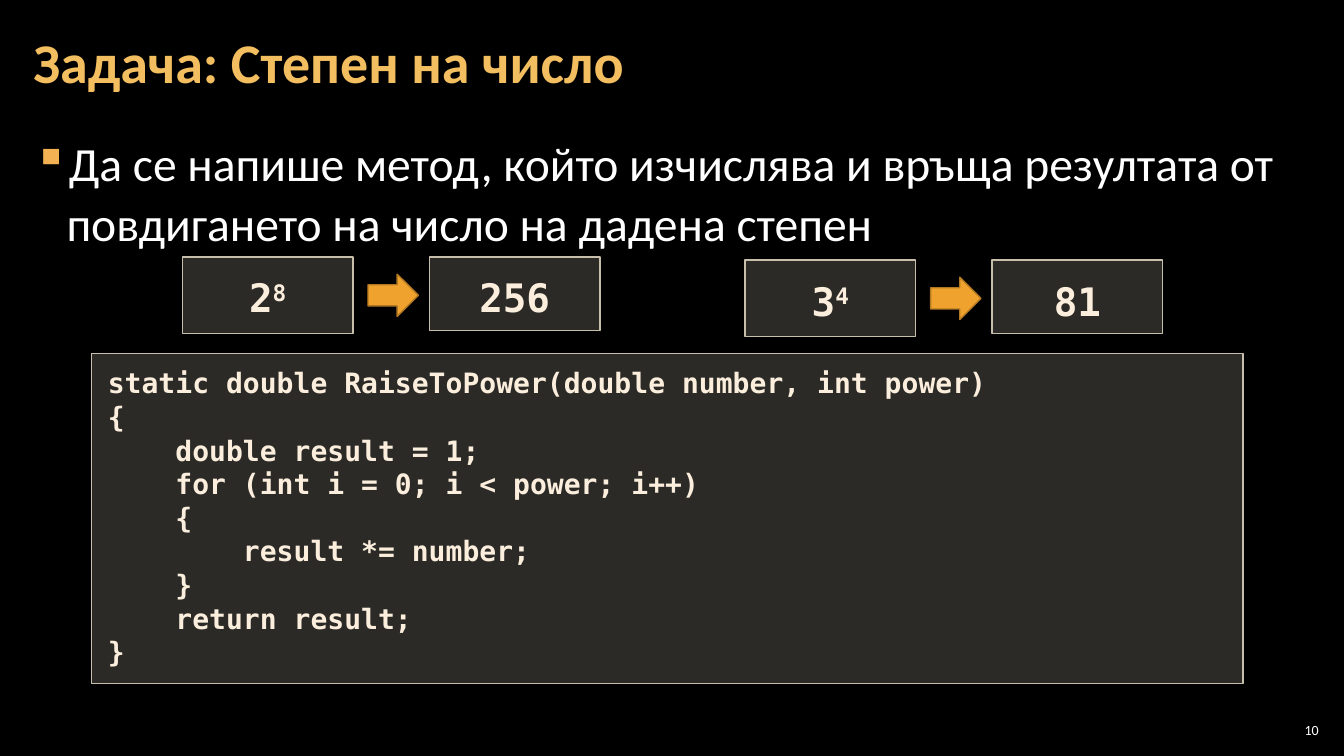
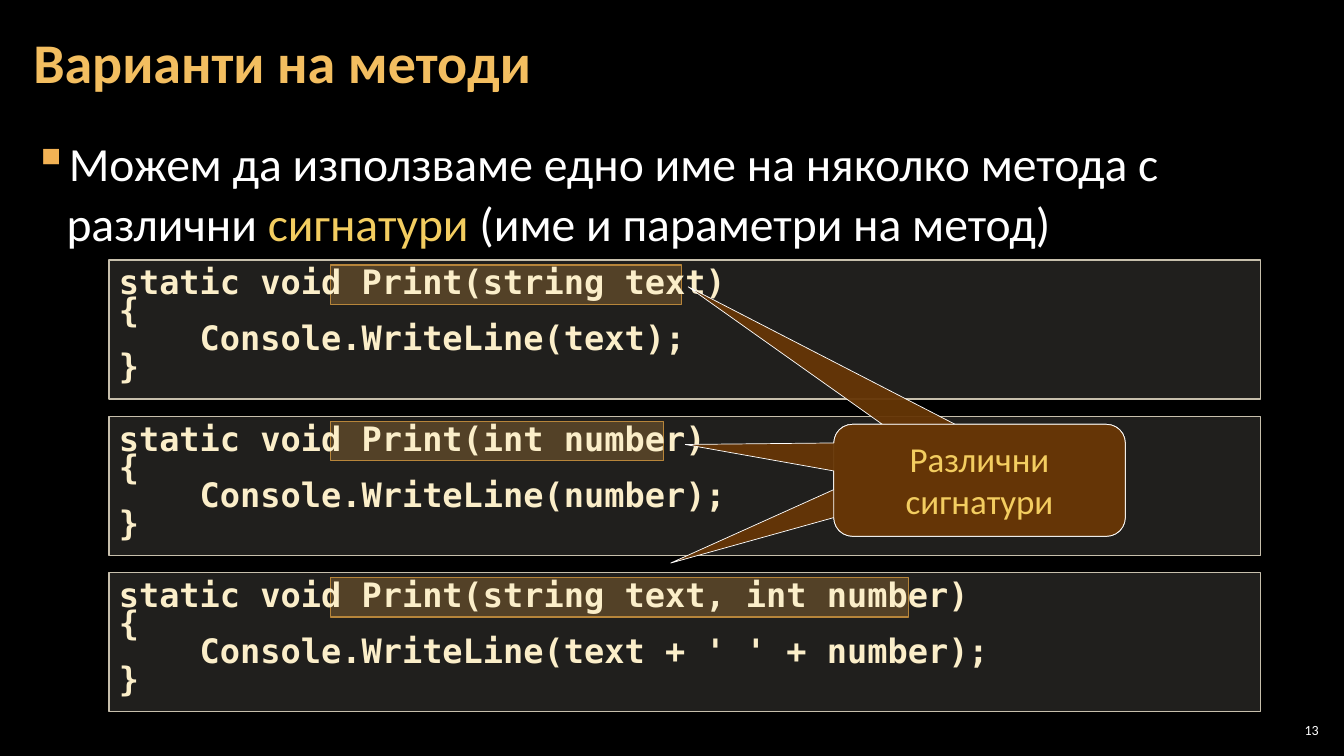
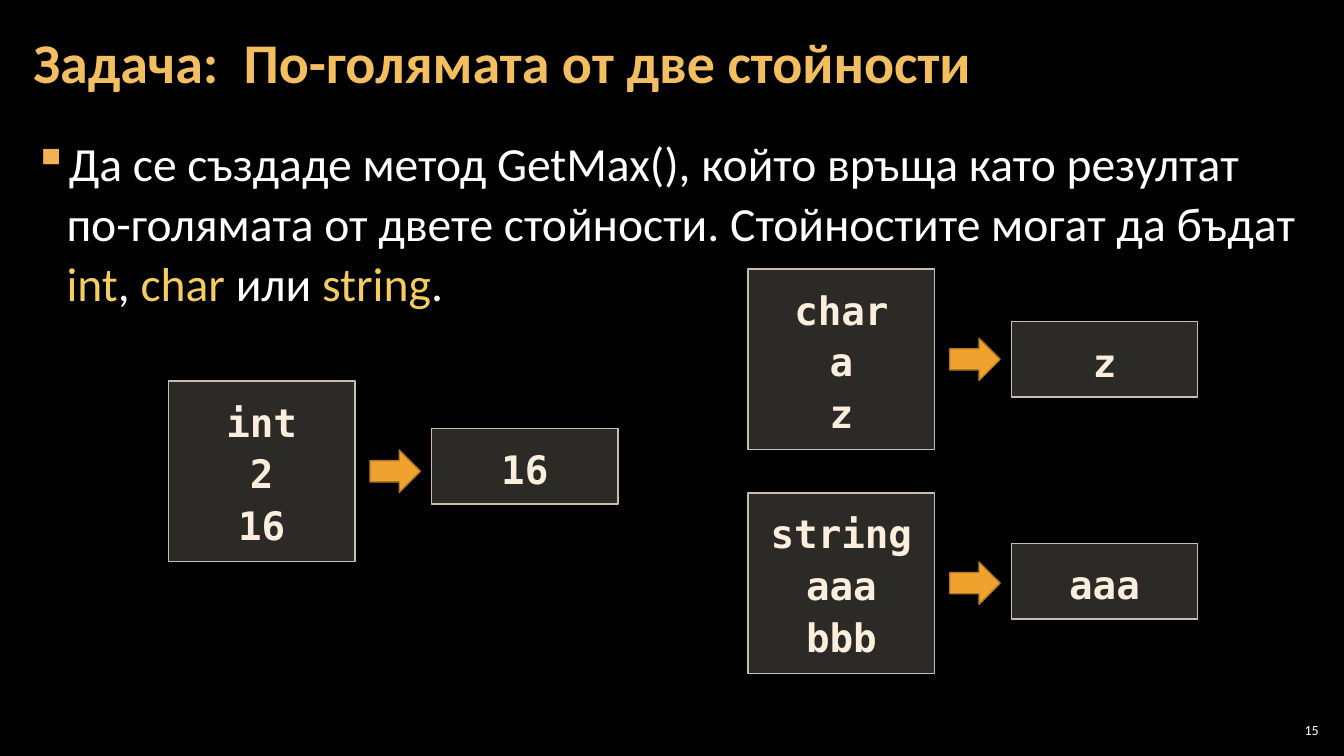
"""Build three dark slides about methods: powers, overloads and the greater of two values."""
from lxml import etree
from pptx import Presentation
from pptx.dml.color import RGBColor
from pptx.enum import shapes, text
from pptx.oxml.ns import qn
from pptx.util import Inches, Pt

WHITE, ACCENT = "FFFFFF", "F3CD60"
PANEL, PANEL_EDGE = "D9D5C7", "C7BFAC"
ORANGE, ORANGE_EDGE = "F0A22E", "B27822"
RECT = shapes.MSO_SHAPE.RECTANGLE
ARROW = shapes.MSO_SHAPE.RIGHT_ARROW
CALLOUT = shapes.MSO_SHAPE.ROUNDED_RECTANGULAR_CALLOUT
MIDDLE = text.MSO_ANCHOR.MIDDLE
CENTER, RIGHT = text.PP_ALIGN.CENTER, text.PP_ALIGN.RIGHT
MONO = "DejaVu Sans Mono"

TITLE = dict(size=40, colour="F3BE60", bold=True, spacing=0.9, insets=(0.12, 0.04), anchor=MIDDLE)
BODY = dict(size=34, spacing=1.05, insets=(0.12, 0.04))
NUMBER = dict(size=10, align=RIGHT, insets=(0.04, 0.04), anchor=MIDDLE)
BOX = dict(fill=PANEL, alpha=20, line=PANEL_EDGE, font=MONO, colour="FBEEDC", bold=True, grow=True)
CODE = dict(BOX, size=20, insets=(0.16, 0.12))
VALUE = dict(BOX, size=28, align=CENTER, spacing=1.1, insets=(0.2, 0.12))
OVERLOAD = dict(BOX, alpha=15, size=24, colour="FBEEC9", spacing=Pt(20), anchor=MIDDLE, grow=False)
HIGHLIGHT = dict(fill=ORANGE, alpha=25, line=ORANGE_EDGE)
NOTE = dict(fill="663606", alpha=95, line=WHITE, weight=0.5, size=25, colour=ACCENT,
            align=CENTER, spacing=Pt(30), insets=(0.1, 0.08), grow=True)


def paint(target, colour, alpha=100):
    """Fill a shape, line or font with a hex colour."""
    target.solid()
    target.fore_color.rgb = RGBColor.from_string(colour)
    if alpha < 100:
        tint = target._xPr.find(qn("a:solidFill"))[0]
        etree.SubElement(tint, qn("a:alpha")).set("val", str(alpha * 1000))


def add(slide, kind, at, lines=(), fill=None, alpha=100, line=None, weight=1, size=18,
        colour=WHITE, font="Calibri", bold=False, align=None, spacing=1.0,
        insets=(0.1, 0.05), anchor=text.MSO_ANCHOR.TOP, grow=False):
    """Add a shape, or a text box if kind is None; each line is a list of runs."""
    place = [Inches(length) for length in at]
    if kind is None:
        shape = slide.shapes.add_textbox(*place)
    else:
        shape = slide.shapes.add_shape(kind, *place)
        shape.shadow.inherit = False
        paint(shape.fill, fill, alpha)
        paint(shape.line.fill, line)
        shape.line.width = Pt(weight)
    frame = shape.text_frame
    frame.word_wrap = True
    frame.vertical_anchor = anchor
    frame.margin_left = frame.margin_right = Inches(insets[0])
    frame.margin_top = frame.margin_bottom = Inches(insets[1])
    if grow:
        frame.auto_size = text.MSO_AUTO_SIZE.SHAPE_TO_FIT_TEXT
    for index, runs in enumerate(lines):
        paragraph = frame.add_paragraph() if index else frame.paragraphs[0]
        paragraph.alignment = align or text.PP_ALIGN.LEFT
        paragraph.line_spacing = spacing
        for words in runs:
            run = paragraph.add_run()
            run.text = words
            run.font.name, run.font.size, run.font.bold = font, Pt(size), bold
            paint(run.font.fill, colour)
    return shape


prs = Presentation()
prs.slide_width, prs.slide_height = Inches(13.33), Inches(7.5)
paint(prs.slide_master.background.fill, "000000")

topics = [
    ("Задача: Степен на число", "10",
     ["Да се напише метод, който изчислява и връща резултата от повдигането на число на дадена степен"]),
    ("Варианти на методи", "13",
     ["Можем да използваме едно име на няколко метода с различни ", "сигнатури",
      " (име и параметри на метод)"]),
    ("Задача:  По-голямата от две стойности", "15",
     ["Да се създаде метод GetMax(), който връща като резултат по-голямата от дветe стойности. "
      "Стойностите могат да бъдат ", "int", ", ", "char ", "или ", "string", "."]),
]
slides = []
for heading, number, statement in topics:
    slide = prs.slides.add_slide(prs.slide_layouts[6])
    slides.append(slide)
    body = add(slide, None, (0.21, 1.26, 12.91, 6.09), [statement], **BODY)
    bullet = body.text_frame.paragraphs[0]
    bullet.space_after = Pt(6)
    props = bullet._p.get_or_add_pPr()
    props.set("marL", str(Inches(0.33)))
    props.set("indent", str(-Inches(0.33)))
    bullet_colour = etree.SubElement(props, qn("a:buClr"))
    etree.SubElement(bullet_colour, qn("a:srgbClr")).set("val", "F2B254")
    etree.SubElement(props, qn("a:buChar")).set("char", "▪")
    for term in bullet.runs[1::2]:
        paint(term.font.fill, ACCENT)
    add(slide, None, (0.21, 0.04, 12.91, 1.21), [[heading]], **TITLE)
    add(slide, None, (12.65, 7.14, 0.47, 0.21), [[number]], **NUMBER)
power_slide, overload_slide, max_slide = slides

power_code = """static double RaiseToPower(double number, int power)
{
    double result = 1;
    for (int i = 0; i < power; i++)
    {
        result *= number;
    }
    return result;
}"""
add(power_slide, RECT, (0.91, 3.51, 11.42, 3.27),
    [[row] for row in power_code.split("\n")], **CODE)

examples = [
    (power_slide, 1.81, 2.55, 1.69, 0.76, [["2", "8"]], "256", 2.55, 0.73),
    (power_slide, 7.39, 2.58, 1.69, 0.76, [["3", "4"]], "81", 2.58, 0.73),
    (max_slide, 1.67, 3.78, 1.85, 1.79, [["int"], ["2"], ["16"]], "16", 4.25, 0.75),
    (max_slide, 7.42, 2.67, 1.85, 1.79, [["char"], ["a"], ["z"]], "z", 3.19, 0.75),
    (max_slide, 7.42, 4.89, 1.85, 1.79, [["string"], ["aaa"], ["bbb"]], "aaa", 5.39, 0.75),
]
for slide, left, top, width, height, given, result, result_top, result_height in examples:
    source = add(slide, RECT, (left, top, width, height), given, **VALUE)
    for exponent in source.text_frame.paragraphs[0].runs[1:]:
        exponent._r.get_or_add_rPr().set("baseline", "30000")
    add(slide, ARROW, (left + width + 0.15, top + height / 2 - 0.21, 0.5, 0.42),
        fill=ORANGE, line=ORANGE_EDGE)
    add(slide, RECT, (left + width + 0.76, result_top, width, result_height), [[result]], **VALUE)

overloads = [
    ("string text", "text", 3.48),
    ("int number", "number", 3.3),
    ("string text, int number", "text + ' ' + number", 5.73),
]
for index, (parameters, printed, marked_width) in enumerate(overloads):
    top = 2.58 + 1.55 * index
    add(overload_slide, RECT, (3.28, top + 0.05, marked_width, 0.39), **HIGHLIGHT)
    rows = [f"static void Print({parameters})", "{", f"    Console.WriteLine({printed});", "}"]
    add(overload_slide, RECT, (1.08, top, 11.42, 1.38), [[row] for row in rows], **OVERLOAD)

for tip in [(-1.0, -1.73), (-1.06, 0.74), (-1.01, -0.32)]:
    note = add(overload_slide, CALLOUT, (8.27, 4.21, 2.89, 1.11), [["Различни сигнатури"]], **NOTE)
    note.adjustments[0], note.adjustments[1] = tip

prs.save("out.pptx")
